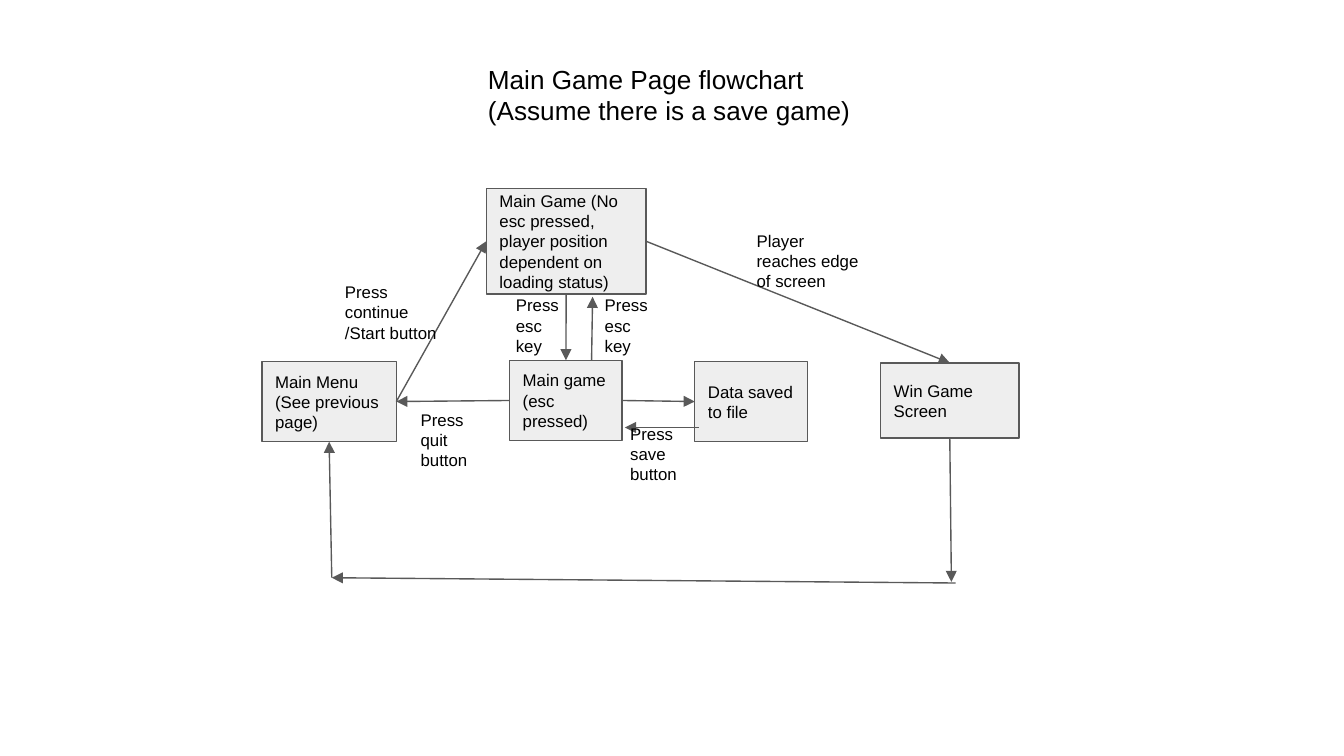
from dataclasses import dataclass

import lxml.etree
import pptx
import pptx.dml.color
import pptx.enum.shapes
import pptx.enum.text
import pptx.oxml.ns
import pptx.util

Cm = pptx.util.Cm
TOP, LEFT, BOTTOM, RIGHT = range(4)


@dataclass(frozen=True)
class Theme:
    font: str = "Arial"
    title_size: float = 14
    body_size: float = 9
    line_width: float = 0.75
    inset: float = 0.25
    text: str = "000000"
    box_fill: str = "EEEEEE"
    line: str = "595959"


def rgb(code):
    return pptx.dml.color.RGBColor.from_string(code)


class Flowchart:
    """Draws flowchart elements on one slide; every length is in centimetres."""

    def __init__(self, page, theme):
        self.page = page
        self.theme = theme

    def set_text(self, shape, text, size, anchor):
        frame = shape.text_frame
        frame.text = text
        frame.word_wrap = True
        frame.auto_size = pptx.enum.text.MSO_AUTO_SIZE.NONE
        frame.vertical_anchor = anchor
        frame.margin_left = frame.margin_right = Cm(self.theme.inset)
        frame.margin_top = frame.margin_bottom = Cm(self.theme.inset)
        for para in frame.paragraphs:
            para.alignment = pptx.enum.text.PP_ALIGN.LEFT
            for span in para.runs:
                span.font.name = self.theme.font
                span.font.size = pptx.util.Pt(size)
                span.font.color.rgb = rgb(self.theme.text)

    def outline(self, shape):
        shape.line.color.rgb = rgb(self.theme.line)
        shape.line.width = pptx.util.Pt(self.theme.line_width)

    def title(self, text, left, top, width, height):
        title = self.page.shapes.title
        title.left, title.top = Cm(left), Cm(top)
        title.width, title.height = Cm(width), Cm(height)
        self.set_text(title, text, self.theme.title_size, pptx.enum.text.MSO_ANCHOR.TOP)

    def box(self, text, left, top, width, height):
        box = self.page.shapes.add_shape(
            pptx.enum.shapes.MSO_SHAPE.RECTANGLE,
            Cm(left), Cm(top), Cm(width), Cm(height),
        )
        box.shadow.inherit = False
        box.fill.solid()
        box.fill.fore_color.rgb = rgb(self.theme.box_fill)
        self.outline(box)
        self.set_text(box, text, self.theme.body_size, pptx.enum.text.MSO_ANCHOR.MIDDLE)
        return box

    def label(self, text, left, top, width, height):
        label = self.page.shapes.add_textbox(Cm(left), Cm(top), Cm(width), Cm(height))
        self.set_text(label, text, self.theme.body_size, pptx.enum.text.MSO_ANCHOR.TOP)

    def arrow(self, start, end):
        """Each end is either an (x, y) point or a (box, side) pair to join."""
        start_joined, end_joined = (hasattr(spot[0], "shape_id") for spot in (start, end))
        start_point = (0, 0) if start_joined else start
        end_point = (0, 0) if end_joined else end
        arrow = self.page.shapes.add_connector(
            pptx.enum.shapes.MSO_CONNECTOR.STRAIGHT,
            *(Cm(length) for length in (*start_point, *end_point)),
        )
        if start_joined:
            arrow.begin_connect(*start)
        if end_joined:
            arrow.end_connect(*end)
        self.outline(arrow)
        qn = pptx.oxml.ns.qn
        properties = arrow._element.spPr
        head = lxml.etree.SubElement(properties.find(qn("a:ln")), qn("a:tailEnd"))
        head.set("type", "triangle")
        lxml.etree.SubElement(properties, qn("a:effectLst"))


def main():
    deck = pptx.Presentation()
    deck.slide_width, deck.slide_height = Cm(25.4), Cm(14.29)
    page = deck.slides.add_slide(deck.slide_layouts.get_by_name("Title Only"))
    chart = Flowchart(page, Theme())

    chart.title("Main Game Page flowchart (Assume there is a save game)", 8.97, 0.94, 7.49, 1.09)

    menu = chart.box("Main Menu (See previous page)", 4.95, 6.83, 2.54, 1.52)
    game = chart.box(
        "Main Game (No esc pressed, player position dependent on loading status)",
        9.19, 3.56, 3.02, 2,
    )
    paused = chart.box("Main game (esc pressed)", 9.63, 6.81, 2.13, 1.52)
    saved = chart.box("Data saved to file", 13.13, 6.83, 2.13, 1.52)
    win = chart.box("Win Game Screen", 16.64, 6.86, 2.62, 1.42)

    return_corner = (6.27, 10.92)
    arrows = [
        ((menu, RIGHT), (game, LEFT)),
        ((paused, RIGHT), (saved, LEFT)),
        ((13.21, 8.08), (11.81, 8.08)),
        ((paused, LEFT), (menu, RIGHT)),
        ((game, BOTTOM), (paused, TOP)),
        ((11.18, 6.81), (11.2, 5.61)),
        ((game, RIGHT), (win, TOP)),
        ((win, BOTTOM), (17.98, 11)),
        ((18.06, 11.02), return_corner),
        (return_corner, (menu, BOTTOM)),
    ]
    for start, end in arrows:
        chart.arrow(start, end)

    chart.label("Press continue /Start button", 6.27, 5.08, 2.31, 1.09)
    for left in (11.18, 9.5):
        chart.label("Press esc key", left, 5.33, 1.37, 0.74)
    chart.label("Press quit button", 7.7, 7.49, 1.7, 1.52)
    chart.label("Press save button", 11.66, 7.75, 1.7, 1.52)
    chart.label("Player reaches edge of screen", 14.05, 4.11, 2.54, 1.52)

    deck.save("out.pptx")


if __name__ == "__main__":
    main()
